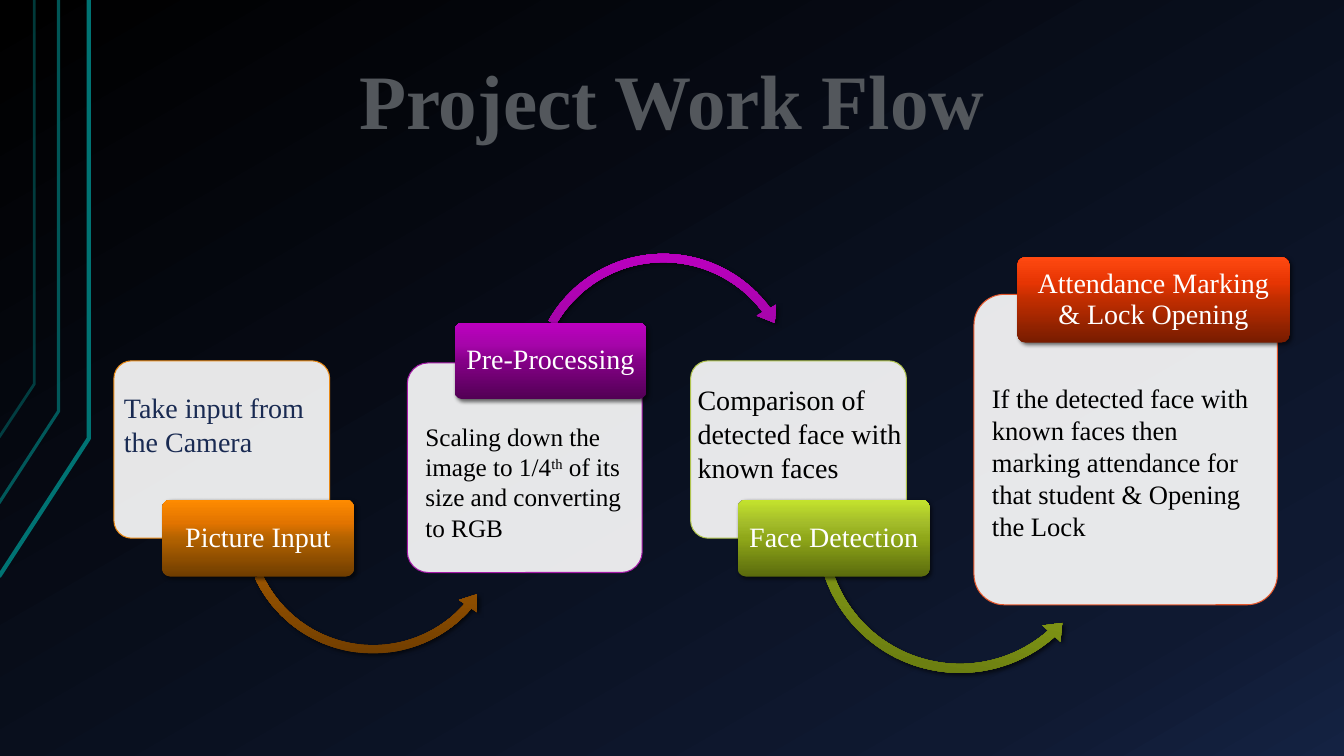
from dataclasses import dataclass

from lxml import etree
from pptx import Presentation
from pptx.dml.color import RGBColor
from pptx.enum.shapes import MSO_SHAPE
from pptx.enum.text import MSO_ANCHOR, MSO_AUTO_SIZE, PP_ALIGN
from pptx.oxml.ns import qn
from pptx.util import Inches, Pt

ROUNDED = MSO_SHAPE.ROUNDED_RECTANGLE
ARC_OVER = MSO_SHAPE.CIRCULAR_ARROW
ARC_UNDER = MSO_SHAPE.LEFT_CIRCULAR_ARROW
CENTER, LEFT = PP_ALIGN.CENTER, PP_ALIGN.LEFT
MIDDLE, TOP, BOTTOM = MSO_ANCHOR.MIDDLE, MSO_ANCHOR.TOP, MSO_ANCHOR.BOTTOM
FIT_SHAPE, NO_FIT = MSO_AUTO_SIZE.SHAPE_TO_FIT_TEXT, MSO_AUTO_SIZE.NONE


@dataclass(frozen=True)
class Theme:
    font: str = "Times New Roman"
    title_size: int = 55
    label_size: int = 20
    white: str = "FFFFFF"
    black: str = "000000"
    navy: str = "192A52"
    teal: str = "007373"
    backdrop: tuple = ((0, "000000"), (85, "0F1931"), (100, "142242"))
    title: tuple = ((21, "53575C"), (88, "C5C7CA"))
    orange: tuple = ((0, "6F3D00"), (50, "B36200"), (70, "E27400"), (100, "FE8B00"))
    purple: tuple = ((0, "520054"), (50, "850088"), (70, "A505A9"), (100, "BC00C0"))
    green: tuple = ((0, "5A6A0D"), (50, "8FA719"), (70, "A3BC2A"), (100, "C4E32D"))
    red: tuple = ((0, "771C00"), (50, "C02D00"), (70, "E63503"), (100, "FF4911"))


THEME = Theme()


@dataclass(frozen=True)
class Arc:
    kind: int
    offset: tuple
    size: float
    shape: tuple
    rotation: float = 0


@dataclass(frozen=True)
class Step:
    """Offsets are measured from the top left corner of the panel."""
    label: str
    note: tuple
    panel: tuple
    tab: tuple
    note_box: tuple
    gradient: tuple
    outline: str
    note_size: int = 20
    note_color: str = THEME.black
    arc: Arc = None


STEPS = (
    Step("Picture Input", ("Take input from the Camera",),
         (1.13, 3.58, 2.14, 1.76), (0.48, 1.38, 1.9, 0.76), (0, 0.25, 2.15, 0.77),
         THEME.orange, "E98915", note_color=THEME.navy,
         arc=Arc(ARC_UNDER, (1.21, 0.25), 2.72, (0.03, 4.13, 24.69, 93.05, 0.04))),
    Step("Pre-Processing",
         ("Scaling down the image to 1/4", "th", " of its size and converting to RGB"),
         (4.04, 3.6, 2.33, 2.08), (0.47, -0.4, 1.9, 0.76), (0.08, 0.53, 2.15, 1.31),
         THEME.purple, "A419A7", note_size=18,
         arc=Arc(ARC_OVER, (1.16, -1.15), 2.76, (0.03, 4.07, 194.19, 125.77, 0.04))),
    Step("Face Detection", ("Comparison of detected face with known faces",),
         (6.85, 3.58, 2.14, 1.76), (0.47, 1.38, 1.9, 0.76), (-0.03, 0.17, 2.6, 1.11),
         THEME.green, "AFC34D",
         arc=Arc(ARC_UNDER, (1.18, 0.19), 2.98, (0.03, 3.74, 21.63, 90.38, 0.04), 12.4)),
    Step("Attendance Marking & Lock Opening",
         ("If the detected face with known faces then marking attendance "
          "for that student & Opening the Lock",),
         (9.66, 2.92, 3.01, 3.08), (0.43, -0.37, 2.7, 0.85), (0.08, 0.82, 2.93, 1.7),
         THEME.red, "E5572B", note_size=19),
)


def inches(values):
    return [Inches(value) for value in values]


def shifted(panel, offset):
    left, top, *size = offset
    return inches((panel[0] + left, panel[1] + top, *size))


def fill_gradient(fill, parent, stops, angle):
    """Fill with any number of stops; the angle runs clockwise."""
    fill.gradient()
    fill.gradient_angle = 360 - angle
    stop_list = parent.find(".//" + qn("a:gsLst"))
    for stop in list(stop_list):
        stop_list.remove(stop)
    for position, color in stops:
        stop = etree.SubElement(stop_list, qn("a:gs"), pos=str(position * 1000))
        etree.SubElement(stop, qn("a:srgbClr"), val=color)


def set_alpha(parent, percent):
    color = parent.find(".//" + qn("a:srgbClr"))
    etree.SubElement(color, qn("a:alpha"), val=str(percent * 1000))


def add_shadow(shape):
    effects = shape._element.spPr.find(qn("a:effectLst"))
    shadow = etree.SubElement(effects, qn("a:outerShdw"), blurRad=str(Pt(3)),
                              dist=str(Pt(2)), dir=str(45 * 60000), rotWithShape="0")
    color = etree.SubElement(shadow, qn("a:srgbClr"), val=THEME.black)
    etree.SubElement(color, qn("a:alpha"), val="60000")


def write_text(box, *texts, size, color=None, bold=False, align=LEFT, anchor=TOP,
               spacing=None, insets=(0.1, 0.05), fit=NO_FIT):
    """Write one paragraph; every second text is superscript."""
    frame = box.text_frame
    frame.word_wrap = True
    frame.auto_size = fit
    frame.vertical_anchor = anchor
    frame.margin_left = frame.margin_right = Inches(insets[0])
    frame.margin_top = frame.margin_bottom = Inches(insets[1])
    para = frame.paragraphs[0]
    para.alignment = align
    para.line_spacing = spacing
    for index, text in enumerate(texts):
        span = para.add_run()
        span.text = text
        span.font.name, span.font.size, span.font.bold = THEME.font, Pt(size), bold
        if color:
            span.font.fill.solid()
            span.font.fill.fore_color.rgb = RGBColor.from_string(color)
        if index % 2:
            span._r.get_or_add_rPr().set("baseline", "30000")
    return para


def add_plain_shape(page, kind, box):
    shape = page.shapes.add_shape(kind, *box)
    shape.shadow.inherit = False
    shape.line.fill.background()
    return shape


def add_backdrop(page):
    fill = page.background.fill
    fill_gradient(fill, page._element, THEME.backdrop, 60)
    # Corner lines: x, bend height, foot height, width, opacity
    for x, bend, foot, width, opacity in ((0.88, 4.35, 5.72, 3, 100),
                                          (0.58, 4.08, 4.99, 2.25, 75),
                                          (0.34, 3.81, 4.34, 2, 50)):
        builder = page.shapes.build_freeform(Inches(-0.01), Inches(foot))
        builder.add_line_segments([inches((x, bend)), inches((x, 0))], close=False)
        line = builder.convert_to_shape()
        line.shadow.inherit = False
        line.fill.background()
        line.line.width = Pt(width)
        line.line.color.rgb = RGBColor.from_string(THEME.teal)
        set_alpha(line._element.spPr, opacity)


def add_title(page, text, box):
    title = page.shapes.title
    title.left, title.top, title.width, title.height = inches(box)
    para = write_text(title, text, size=THEME.title_size, bold=True, align=CENTER,
                      anchor=BOTTOM, spacing=0.9, insets=(0.13, 0.07))
    span = para.runs[0]
    fill_gradient(span.font.fill, span._r, THEME.title, 90)


def add_step(page, step):
    # Panel
    panel = add_plain_shape(page, ROUNDED, inches(step.panel))
    panel.adjustments[0] = 0.1
    panel.fill.solid()
    panel.fill.fore_color.rgb = RGBColor.from_string(THEME.white)
    set_alpha(panel._element.spPr, 90)
    panel.line.color.rgb = RGBColor.from_string(step.outline)
    panel.line.width = Pt(0.75)

    # Arc to the next step, then the tab over its tail
    accents = []
    if step.arc:
        size = step.arc.size
        arc = add_plain_shape(page, step.arc.kind,
                              shifted(step.panel, (*step.arc.offset, size, size)))
        arc.rotation = step.arc.rotation
        for index, value in enumerate(step.arc.shape):
            arc.adjustments[index] = value
        accents.append(arc)
    tab = add_plain_shape(page, ROUNDED, shifted(step.panel, step.tab))
    tab.adjustments[0] = 0.1
    write_text(tab, step.label, size=THEME.label_size, color=THEME.white, align=CENTER,
               anchor=MIDDLE, spacing=0.9, insets=(0.06, 0.05))
    accents.append(tab)
    for shape in accents:
        fill_gradient(shape.fill, shape._element.spPr, step.gradient, 270)
        add_shadow(shape)

    # Note
    note = page.shapes.add_textbox(*shifted(step.panel, step.note_box))
    write_text(note, *step.note, size=step.note_size, color=step.note_color, fit=FIT_SHAPE)


def main():
    deck = Presentation()
    deck.slide_width, deck.slide_height = inches((13.33, 7.5))
    page = deck.slides.add_slide(deck.slide_layouts[5])
    add_backdrop(page)
    add_title(page, "Project Work Flow", (2.69, 0.44, 7.95, 1.08))
    for step in STEPS:
        add_step(page, step)
    deck.save("out.pptx")


if __name__ == "__main__":
    main()
